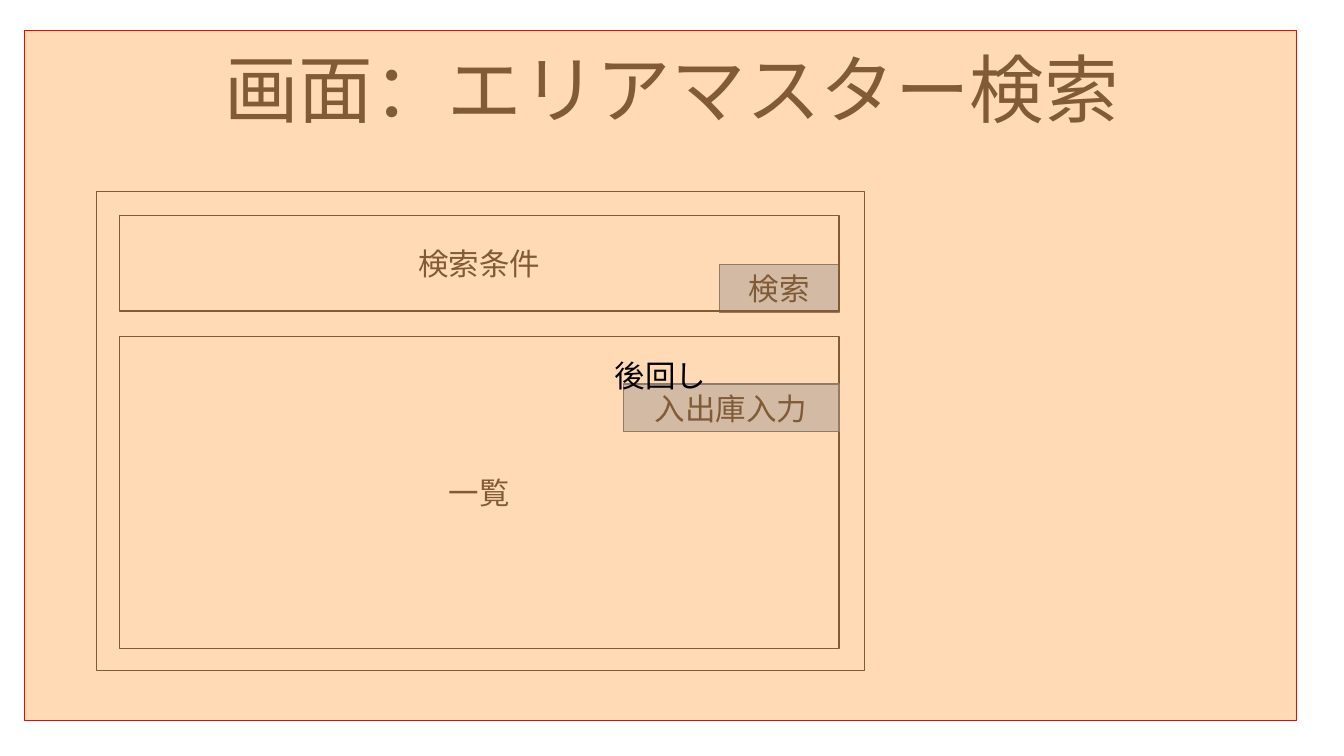
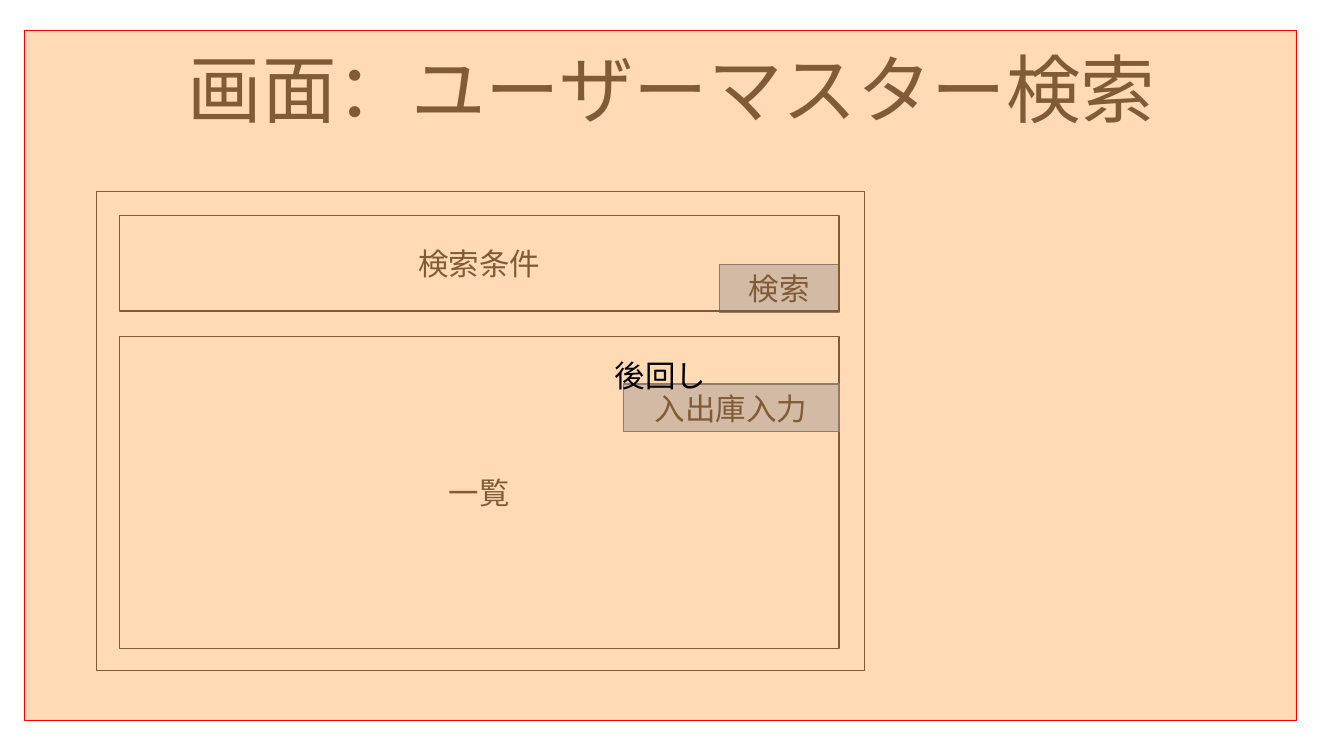
from lxml.etree import SubElement
from pptx import Presentation
from pptx.dml.color import RGBColor
from pptx.enum.shapes import MSO_SHAPE
from pptx.enum.text import MSO_ANCHOR, MSO_AUTO_SIZE, PP_ALIGN
from pptx.oxml.ns import qn
from pptx.util import Inches, Pt

COLORS = {
    "text": "000000",
    "frame": "000000",
    "button": "4F81BD",
    "button_line": "254061",
    "veil": "FFB66C",
    "veil_line": "FF0000",
}
FONT = "Arial"
TITLES = ["画面：エリアマスター検索", "画面：ユーザーマスター検索"]
PANEL_LEFT, PANEL_WIDTH = 0.98, 5.9
PANEL_RIGHT = PANEL_LEFT + PANEL_WIDTH
BUTTON_HEIGHT = 0.39


def color(name):
    """Return the named colour of the palette."""
    return RGBColor.from_string(COLORS[name])


def write(tf, text, size):
    """Write one centred paragraph in the middle of a text frame."""
    tf.word_wrap = True
    tf.vertical_anchor = MSO_ANCHOR.MIDDLE
    p = tf.paragraphs[0]
    p.text = text
    p.alignment = PP_ALIGN.CENTER
    p.font.size = Pt(size)
    p.font.name = FONT
    p.font.color.rgb = color("text")
    return p


def add_title(s, text):
    """Place and format the title placeholder."""
    sp = s.shapes.title
    sp.left, sp.top = Inches(0.55), Inches(0.25)
    sp.width, sp.height = Inches(9.92), Inches(1.03)
    tf = sp.text_frame
    tf.auto_size = MSO_AUTO_SIZE.NONE
    tf.margin_left = tf.margin_top = tf.margin_right = tf.margin_bottom = 0
    write(tf, text, 44).line_spacing = 0.9


def add_box(s, left, top, width, height, text="", line="frame", fill=None):
    """Add a hairline rectangle, with a half-transparent fill if one is named."""
    sp = s.shapes.add_shape(MSO_SHAPE.RECTANGLE, Inches(left), Inches(top),
                            Inches(width), Inches(height))
    sp.shadow.inherit = False
    sp.line.color.rgb = color(line)
    sp.line.width = 0
    if fill:
        sp.fill.solid()
        sp.fill.fore_color.rgb = color(fill)
        rgb = sp.fill._xPr.find(".//" + qn("a:srgbClr"))
        SubElement(rgb, qn("a:alpha"), val="50000")
    else:
        sp.fill.background()
    if text:
        write(sp.text_frame, text, 18)


def add_button(s, top, width, text):
    """Add a button against the right edge of the panels."""
    add_box(s, PANEL_RIGHT - width, top, width, BUTTON_HEIGHT, text,
            "button_line", "button")


def add_panel(s, top, height, text):
    """Add a panel inside the window."""
    add_box(s, PANEL_LEFT, top, PANEL_WIDTH, height, text)


def add_screen(prs, title):
    """Add a slide with a search screen under the postponed veil."""
    s = prs.slides.add_slide(prs.slide_layouts.get_by_name("Title Only"))
    add_title(s, title)
    add_box(s, 0.79, 1.57, 6.3, 3.93)
    add_button(s, 2.17, 0.98, "検索")
    add_panel(s, 1.77, 0.78, "検索条件")
    add_panel(s, 2.76, 2.56, "一覧")
    add_button(s, 3.15, 1.77, "入出庫入力")
    add_box(s, 0.2, 0.25, 10.43, 5.66, "後回し", "veil_line", "veil")


def main():
    """Build and save the presentation."""
    prs = Presentation()
    prs.slide_width, prs.slide_height = Inches(11.02), Inches(6.2)
    for title in TITLES:
        add_screen(prs, title)
    prs.save("out.pptx")


if __name__ == "__main__":
    main()
